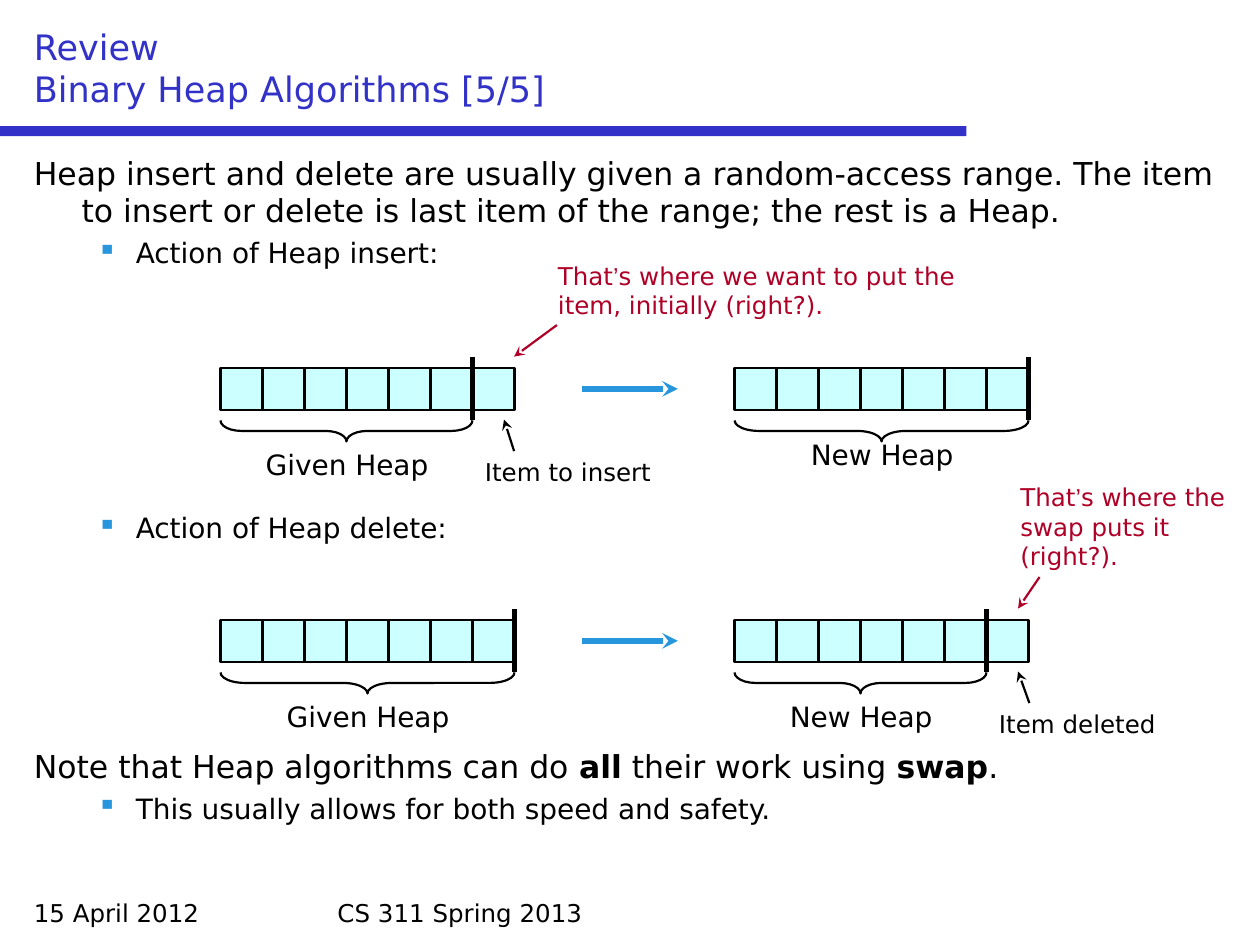
from lxml.etree import SubElement
from pptx import Presentation
from pptx.dml.color import RGBColor
from pptx.enum.shapes import MSO_CONNECTOR, MSO_SHAPE
from pptx.enum.text import MSO_ANCHOR, PP_ALIGN
from pptx.oxml.ns import qn
from pptx.util import Inches, Pt

FONT = "DejaVu Sans"
BLACK, INDIGO, SKY, CRIMSON, CYAN = "000000", "3232C8", "2896DC", "AF0028", "CCFFFF"
CELL = 1 / 3
CELL_COUNT = 7
TICK = CELL / 4


def color(hex_string):
    """Turn a hex string into a colour."""
    return RGBColor.from_string(hex_string)


def format_runs(paragraph, size, ink):
    """Give every run of a paragraph its size, colour and font."""
    for run in paragraph.runs:
        run.font.size = Pt(size)
        run.font.color.rgb = color(ink)
        run.font.name = "Arial" if run.text == "’" else FONT


def add_text(slide, box, text, size, ink=BLACK, align=PP_ALIGN.LEFT, anchor=MSO_ANCHOR.TOP):
    """Place one paragraph of wrapped text in a box, with apostrophes as runs of their own."""
    frame = slide.shapes.add_textbox(*map(Inches, box)).text_frame
    frame.word_wrap = True
    frame.vertical_anchor = anchor
    paragraph = frame.paragraphs[0]
    before, apostrophe, after = text.partition("’")
    paragraph.text = before
    for part in filter(None, (apostrophe, after)):
        paragraph.add_run().text = part
    paragraph.alignment = align
    format_runs(paragraph, size, ink)


def add_line(slide, start, end, ink=BLACK, weight=1.25, arrow=False):
    """Draw a straight line, with an arrowhead at its end if asked."""
    line = slide.shapes.add_connector(MSO_CONNECTOR.STRAIGHT, *map(Inches, (*start, *end)))
    line.line.color.rgb = color(ink)
    line.line.width = Pt(weight)
    if arrow:
        SubElement(line.line._get_or_add_ln(), qn("a:tailEnd"), type="stealth")
    SubElement(line._element.spPr, qn("a:effectLst"))


def add_preset(slide, preset, box, fill=None, ink=None):
    """Draw a preset shape without shadow."""
    shape = slide.shapes.add_shape(preset, *map(Inches, box))
    shape.shadow.inherit = False
    if fill:
        shape.fill.solid()
        shape.fill.fore_color.rgb = color(fill)
    else:
        shape.fill.background()
    if ink:
        shape.line.color.rgb = color(ink)
        shape.line.width = Pt(1.25)
    else:
        shape.line.fill.background()
    return shape


def add_heading(slide, left, top, width, height):
    """Place the title and the rule below it."""
    add_preset(slide, MSO_SHAPE.RECTANGLE, (0, 1, 7.67, 0.08), INDIGO)
    add_text(slide, (left, top, width, height), "Review\vBinary Heap Algorithms [5/5]",
             20, INDIGO, anchor=MSO_ANCHOR.BOTTOM)


def add_footer(slide, left, top, height):
    """Place the date and the course name."""
    add_text(slide, (left, top, 2.33, height), "15 April 2012", 14)
    add_text(slide, (left + 2.41, top, 4.83, height), "CS 311 Spring 2013", 14)


def add_body(slide, left, top, width, height):
    """Place the statements and their bullets, with gaps for the diagrams."""
    statements = [
        (["Heap insert and delete are usually given a random-access range. The item to "
          "insert or delete is last item of the range; the rest is a Heap."], 0, 0),
        (["Action of Heap insert:"], 1, 3.7),
        (["Action of Heap delete:"], 1, 138),
        (["Note that Heap algorithms can do ", "all", " their work using ", "swap", "."], 0, 116),
        (["This usually allows for both speed and safety."], 1, 3.7),
    ]
    frame = slide.shapes.add_textbox(*map(Inches, (left, top, width, height))).text_frame
    frame.word_wrap = True
    for index, (parts, level, gap) in enumerate(statements):
        paragraph = frame.add_paragraph() if index else frame.paragraphs[0]
        paragraph.level = level
        paragraph.space_before = Pt(gap)
        margin, indent = (0.81, -0.31) if level else (0.38, -0.38)
        properties = paragraph._p.get_or_add_pPr()
        properties.set("marL", str(Inches(margin)))
        properties.set("indent", str(Inches(indent)))
        if level:
            bullet_color = SubElement(properties, qn("a:buClr"))
            SubElement(bullet_color, qn("a:srgbClr"), val=SKY)
            SubElement(properties, qn("a:buChar"), char="▪")
        else:
            SubElement(properties, qn("a:buNone"))
        for position, part in enumerate(parts):
            run = paragraph.add_run()
            run.text = part
            run.font.bold = position % 2 == 1
        format_runs(paragraph, 16 if level else 18, BLACK)


def add_heap(slide, left, top, heap_size, label, label_top):
    """Draw a row of cells, the mark that ends its heap, and a labelled brace."""
    for index in range(CELL_COUNT):
        add_preset(slide, MSO_SHAPE.RECTANGLE, (left + index * CELL, top, CELL, CELL), CYAN, BLACK)
    span = heap_size * CELL
    middle, brace_middle = left + span / 2, top + CELL * 1.5
    brace = add_preset(slide, MSO_SHAPE.LEFT_BRACE,
                       (middle - TICK, brace_middle - span / 2, 2 * TICK, span), ink=BLACK)
    brace.rotation = 270
    brace.adjustments[0] = span / 2
    add_line(slide, (left + span, top - TICK), (left + span, top + CELL + TICK), weight=3)
    add_text(slide, (middle - 0.83, label_top, 1.67, 0.37), label, 16, align=PP_ALIGN.CENTER)


def add_action(slide, left, top, given_size, new_size, new_label_top):
    """Draw the given heap, an arrow and the new heap."""
    add_heap(slide, left, top, given_size, "Given Heap", top + 0.58)
    add_line(slide, (left + 2.87, top + CELL / 2), (left + 3.63, top + CELL / 2), SKY, 3, True)
    add_heap(slide, left + 4.08, top, new_size, "New Heap", new_label_top)


def add_callout(slide, box, text, start, end, ink=BLACK):
    """Place a remark and the arrow from it."""
    add_text(slide, box, text, 14, ink)
    add_line(slide, start, end, ink, arrow=True)


def main():
    """Build and save the slide."""
    deck = Presentation()
    deck.slide_width, deck.slide_height = Inches(10), Inches(7.5)
    slide = deck.slides.add_slide(deck.slide_layouts[6])
    add_heading(slide, 0.17, 0.17, 9.67, 0.75)
    add_footer(slide, 0.17, 7.08, 0.33)
    add_body(slide, 0.17, 1.17, 9.67, 5.83)
    add_action(slide, 1.75, 2.92, 6, 7, 3.42)
    add_action(slide, 1.75, 4.92, 7, 6, 5.5)
    add_callout(slide, (3.75, 3.58, 1.88, 0.34), "Item to insert", (4.08, 3.58), (4, 3.33))
    add_callout(slide, (7.83, 5.58, 2, 0.34), "Item deleted", (8.17, 5.58), (8.08, 5.33))
    add_callout(slide, (4.33, 2.02, 3.42, 0.58),
                "That’s where we want to put the item, initially (right?).",
                (4.42, 2.58), (4.08, 2.83), CRIMSON)
    add_callout(slide, (8, 3.78, 1.83, 0.81), "That’s where the swap puts it (right?).",
                (8.25, 4.58), (8.08, 4.83), CRIMSON)
    deck.save("out.pptx")


if __name__ == "__main__":
    main()
